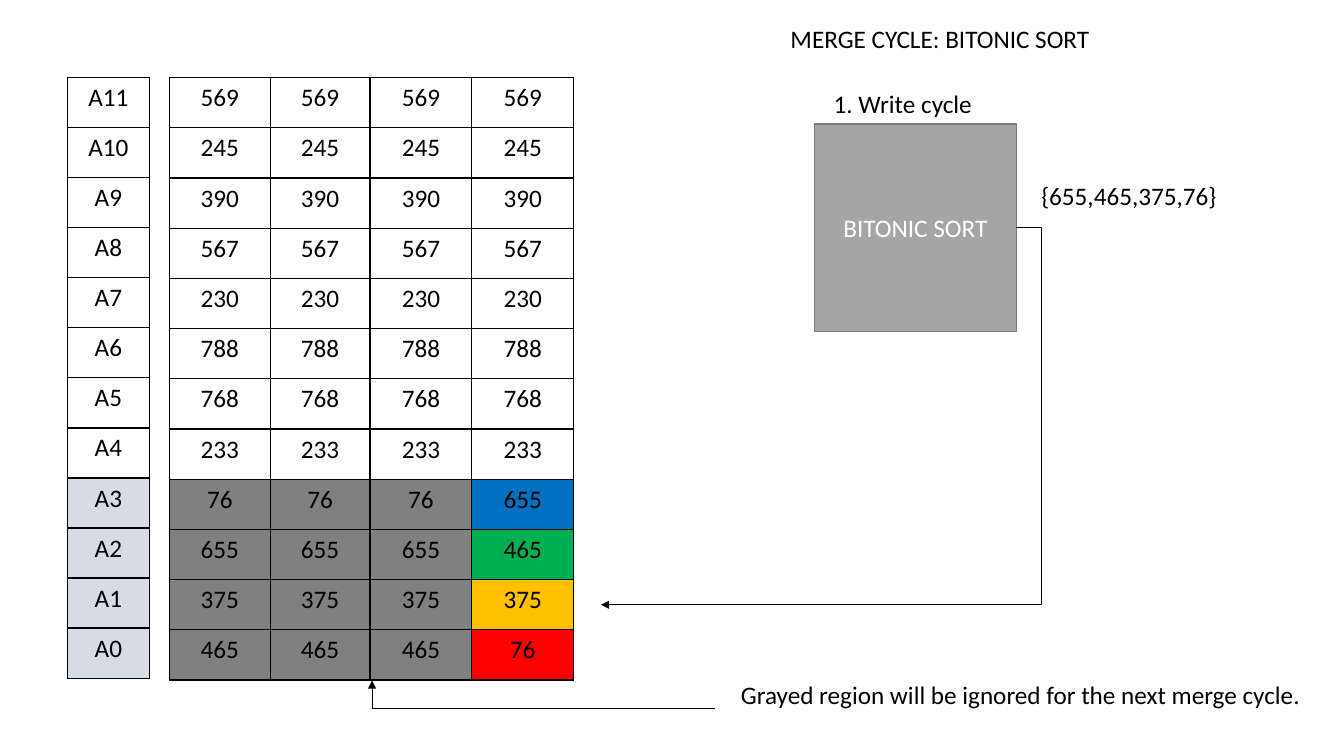
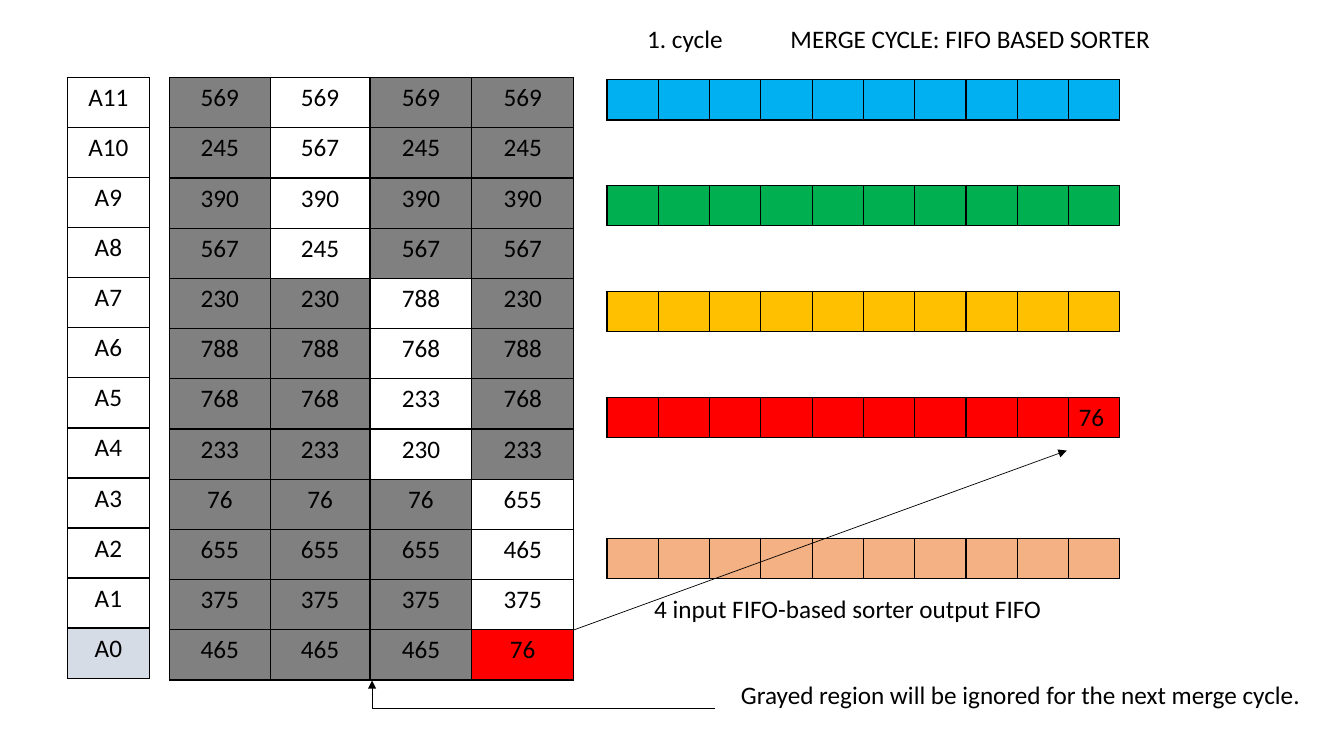
from lxml import etree
from pptx import Presentation
from pptx import util as u
from pptx.dml.color import RGBColor
from pptx.enum import shapes, text
from pptx.oxml.ns import qn

PX = u.Inches(1) // 100  # one px is a hundredth of an inch
FONT, SIZE = "Calibri", 18
BLACK, WHITE = "000000", "FFFFFF"
GRAY, ACTIVE = "808080", "D6DCE5"
BLUE, SKY, GREEN, AMBER, RED, PEACH = "0070C0", "00B0F0", "00B050", "FFC000", "FF0000", "F4B183"
BLOCK_FILL, BLOCK_LINE = "A5A5A5", "7A7A7A"

# Memory contents from A11 down to A0, before merging
STORED = [569, 245, 390, 567, 230, 788, 768, 233, 76, 655, 375, 465]
# Sorted runs by column: first row and values
FIRST_RUN = {3: (8, [655, 465, 375, 76])}
ALL_RUNS = {1: (0, [569, 567, 390, 245]), 2: (4, [788, 768, 233, 230]), **FIRST_RUN}


def px(length):
    return u.Emu(round(length * PX))


def place(box):
    return [px(length) for length in box]


def color(value):
    return RGBColor.from_string(value)


def style(paragraph, ink=BLACK, align=text.PP_ALIGN.LEFT):
    paragraph.alignment = align
    font = paragraph.font
    font.name, font.size = FONT, u.Pt(SIZE)
    font.color.rgb = color(ink)


def fill_cell(cell, fill):
    if fill:
        cell.fill.solid()
        cell.fill.fore_color.rgb = color(fill)
    else:
        cell.fill.background()


def border_cell(cell):
    properties = cell._tc.get_or_add_tcPr()
    for index, side in enumerate(("a:lnL", "a:lnR", "a:lnT", "a:lnB")):
        line = etree.Element(qn(side), w=str(u.Pt(1)))
        solid = etree.SubElement(line, qn("a:solidFill"))
        etree.SubElement(solid, qn("a:srgbClr"), val=BLACK)
        properties.insert(index, line)


def add_grid(slide, box, widths, values, fills, align=text.PP_ALIGN.CENTER):
    """Bordered table with equal rows; values and fills are lists of rows."""
    frame = slide.shapes.add_table(len(values), len(widths), *place(box))
    table = frame.table
    table.first_row = table.horz_banding = False
    for column, width in zip(table.columns, widths):
        column.width = px(width)
    for row, row_values, row_fills in zip(table.rows, values, fills):
        row.height = px(box[3] / len(values))
        for cell, value, fill in zip(row.cells, row_values, row_fills):
            cell.text = str(value)
            style(cell.text_frame.paragraphs[0], align=align)
            fill_cell(cell, fill)
            border_cell(cell)


def add_label(slide, box, words):
    label = slide.shapes.add_textbox(*place(box))
    label.text_frame.word_wrap = True
    label.text_frame.text = words
    style(label.text_frame.paragraphs[0])


def add_title(slide, box, words):
    title = slide.shapes.title
    title.left, title.top, title.width, title.height = place(box)
    frame = title.text_frame
    frame.text = words
    frame.word_wrap = True
    frame.auto_size = text.MSO_AUTO_SIZE.NONE
    frame.vertical_anchor = text.MSO_ANCHOR.TOP
    style(frame.paragraphs[0])


def add_arrow(slide, start, end, kind=shapes.MSO_CONNECTOR.STRAIGHT, head="tailEnd"):
    arrow = slide.shapes.add_connector(kind, *place(start + end))
    arrow.line.color.rgb = color(BLACK)
    arrow.line.width = u.Pt(0.5)
    etree.SubElement(arrow.line._get_or_add_ln(), qn(head), type="triangle")
    etree.SubElement(arrow._element.spPr, qn("a:effectLst"))
    return arrow


def add_straight_arrow(slide, start, end):
    return add_arrow(slide, start, end, head="a:tailEnd")


def add_elbow_arrow(slide, start, end, bend):
    """Three-part elbow whose middle part lies at the fraction bend of the way."""
    arrow = add_arrow(slide, start, end, shapes.MSO_CONNECTOR.ELBOW, "a:tailEnd")
    adjustments = arrow._element.spPr.find(qn("a:prstGeom")).get_or_add_avLst()
    etree.SubElement(adjustments, qn("a:gd"), name="adj1", fmla=f"val {round(bend * 100000)}")


def add_corner_arrow(slide, tip, tail):
    """One-corner arrow from tail, level to below the tip, then up."""
    arrow = add_arrow(slide, tip, tail, shapes.MSO_CONNECTOR.ELBOW, "a:tailEnd")
    properties = arrow._element.spPr
    properties.find(qn("a:prstGeom")).set("prst", "bentConnector2")
    properties.find(qn("a:xfrm")).set("rot", str(180 * 60000))


def add_memory(slide, box, runs, gray_from, active, run_fills):
    """Address column and data columns; rows from gray_from outside runs are gray."""
    left, top, width, height = box
    count = len(STORED)
    values = [[value] * 4 for value in STORED]
    fills = [[GRAY if row >= gray_from else None] * 4 for row in range(count)]
    for column, (first, run) in runs.items():
        for row, value in enumerate(run, first):
            values[row][column] = value
            fills[row][column] = run_fills.get(row)
    add_grid(slide, (left + 101, top, width - 101, height), (100, 99, 101, 101), values, fills)

    addresses = [[f"A{number}"] for number in reversed(range(count))]
    marks = [[ACTIVE if row >= count - active else None] for row in range(count)]
    add_grid(slide, (left, top, 81, height - 2), (81,), addresses, marks)

    # Note on the gray region
    bottom = top + height
    add_corner_arrow(slide, (left + 302, bottom), (left + 642, bottom + 28))
    add_label(slide, (left + 658, bottom - 6, 579, 40),
              "Grayed region will be ignored for the next merge cycle.")


def add_sorter(slide, box):
    """Sorting block with its caption, output and write-back arrow."""
    left, top, width, height = box
    block = slide.shapes.add_shape(shapes.MSO_SHAPE.RECTANGLE, *place(box))
    block.shadow.inherit = False
    block.fill.solid()
    block.fill.fore_color.rgb = color(BLOCK_FILL)
    block.line.color.rgb = color(BLOCK_LINE)
    block.line.width = u.Pt(1)
    block.text_frame.text = "BITONIC SORT"
    block.text_frame.vertical_anchor = text.MSO_ANCHOR.MIDDLE
    style(block.text_frame.paragraphs[0], WHITE, text.PP_ALIGN.CENTER)

    right = left + width
    add_label(slide, (right + 15, top + 51, 207, 40), "{655,465,375,76}")
    add_label(slide, (left + 9, top - 40, 191, 40), "1. Write cycle")
    add_elbow_arrow(slide, (right, top + height / 2), (left - 212, top + 477), -0.06)


def add_queues(slide, box):
    """Four input queues at equal steps, and the output queue below."""
    left, top, width, height = box
    slots = 10
    queues = [(step * 105, fill, "") for step, fill in enumerate((SKY, GREEN, AMBER))]
    queues += [(315, RED, 76), (455, PEACH, "")]
    for offset, fill, last in queues:
        add_grid(slide, (left, top + offset, width, height), [width / slots] * slots,
                 [[""] * (slots - 1) + [last]], [[fill] * slots], text.PP_ALIGN.LEFT)
    add_label(slide, (left + 37, top + 505, 435, 40), "4 input FIFO-based sorter output FIFO")
    add_straight_arrow(slide, (left - 33, top + 546), (left + 456, top + 368))


def new_slide(presentation, title, title_width, **memory):
    slide = presentation.slides.add_slide(presentation.slide_layouts[5])
    add_title(slide, (774, 18, title_width, 40), title)
    add_memory(slide, (67, 77, 502, 598), **memory)
    return slide


def main():
    presentation = Presentation()
    presentation.slide_width, presentation.slide_height = px(1333), px(750)

    # Bitonic sort: the first sorted run is written back
    slide = new_slide(presentation, "MERGE CYCLE: BITONIC SORT", 325, runs=FIRST_RUN,
                      gray_from=8, active=4,
                      run_fills={8: BLUE, 9: GREEN, 10: AMBER, 11: RED})
    add_sorter(slide, (808, 123, 200, 206))

    # FIFO sorter: the runs are read into queues
    slide = new_slide(presentation, "MERGE CYCLE: FIFO BASED SORTER", 418, runs=ALL_RUNS,
                      gray_from=0, active=1, run_fills={11: RED})
    add_label(slide, (632, 18, 142, 40), "1. cycle")
    add_queues(slide, (602, 79, 509, 40))

    presentation.save("out.pptx")


if __name__ == "__main__":
    main()
